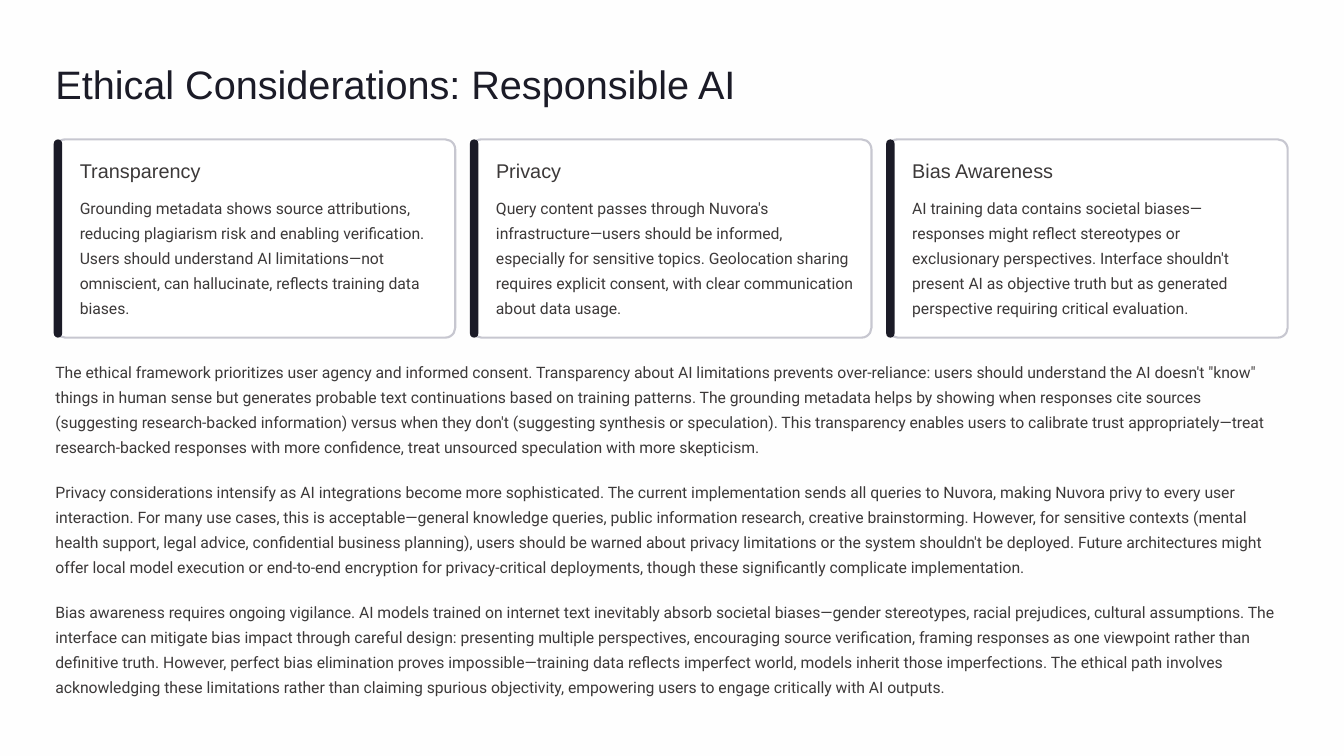
import pptx
import pptx.util
from dataclasses import dataclass
from pptx.dml.color import RGBColor
from pptx.enum.shapes import MSO_SHAPE
from pptx.util import Inches, Pt


@dataclass(frozen=True)
class Theme:
    page: str = "FEFEFE"
    card: str = "FFFFFF"
    border: str = "C7C7D0"
    dark: str = "1B1B27"
    text: str = "3C3939"
    heading_font: str = "Arial"
    body_font: str = "Roboto"
    title_size: float = 34
    heading_size: float = 17
    body_size: float = 13.5
    title_leading: float = 42.5
    heading_leading: float = 21
    body_leading: float = 21.5


THEME = Theme()

LEFT = 0.66
CARD_TOP, CARD_W, CARD_H, CARD_STEP = 1.66, 4.76, 2.36, 4.955
BODY_TOP, BODY_W, BODY_H, BODY_STEP = 4.24, 14.67, 1.22, 1.43

CARDS = [
    ("Transparency",
     "Grounding metadata shows source attributions, reducing plagiarism risk and "
     "enabling verification. Users should understand AI limitations—not omniscient, "
     "can hallucinate, reflects training data biases."),
    ("Privacy",
     "Query content passes through Nuvora's infrastructure—users should be informed, "
     "especially for sensitive topics. Geolocation sharing requires explicit consent, "
     "with clear communication about data usage."),
    ("Bias Awareness",
     "AI training data contains societal biases—responses might reflect stereotypes or "
     "exclusionary perspectives. Interface shouldn't present AI as objective truth but "
     "as generated perspective requiring critical evaluation."),
]

BODY = [
    "The ethical framework prioritizes user agency and informed consent. Transparency "
    "about AI limitations prevents over-reliance: users should understand the AI doesn't "
    "\"know\" things in human sense but generates probable text continuations based on "
    "training patterns. The grounding metadata helps by showing when responses cite "
    "sources (suggesting research-backed information) versus when they don't (suggesting "
    "synthesis or speculation). This transparency enables users to calibrate trust "
    "appropriately—treat research-backed responses with more confidence, treat unsourced "
    "speculation with more skepticism.",
    "Privacy considerations intensify as AI integrations become more sophisticated. The "
    "current implementation sends all queries to Nuvora, making Nuvora privy to every user "
    "interaction. For many use cases, this is acceptable—general knowledge queries, public "
    "information research, creative brainstorming. However, for sensitive contexts (mental "
    "health support, legal advice, confidential business planning), users should be warned "
    "about privacy limitations or the system shouldn't be deployed. Future architectures "
    "might offer local model execution or end-to-end encryption for privacy-critical "
    "deployments, though these significantly complicate implementation.",
    "Bias awareness requires ongoing vigilance. AI models trained on internet text "
    "inevitably absorb societal biases—gender stereotypes, racial prejudices, cultural "
    "assumptions. The interface can mitigate bias impact through careful design: presenting "
    "multiple perspectives, encouraging source verification, framing responses as one "
    "viewpoint rather than definitive truth. However, perfect bias elimination proves "
    "impossible—training data reflects imperfect world, models inherit those imperfections. "
    "The ethical path involves acknowledging these limitations rather than claiming "
    "spurious objectivity, empowering users to engage critically with AI outputs.",
]


def rgb(color):
    return RGBColor.from_string(color)


def add_text(s, box, text, font, size, leading, color, wrap=False):
    tf = s.shapes.add_textbox(*map(Inches, box)).text_frame
    tf.margin_left = tf.margin_top = tf.margin_right = tf.margin_bottom = 0
    tf.word_wrap = wrap
    p = tf.paragraphs[0]
    p.line_spacing = Pt(leading)
    r = p.add_run()
    r.text = text
    r.font.name = font
    r.font.size = Pt(size)
    r.font.color.rgb = rgb(color)


def add_body(s, box, text):
    add_text(s, box, text, THEME.body_font, THEME.body_size, THEME.body_leading,
             THEME.text, wrap=True)


def add_round_rect(s, box, radius, fill, line=None):
    sp = s.shapes.add_shape(MSO_SHAPE.ROUNDED_RECTANGLE, *map(Inches, box))
    sp.shadow.inherit = False
    sp.adjustments[0] = radius
    sp.fill.solid()
    sp.fill.fore_color.rgb = rgb(fill)
    if line:
        sp.line.color.rgb = rgb(line)
        sp.line.width = Pt(1.8)
    else:
        sp.line.fill.background()


def add_card(s, x, heading, text):
    add_round_rect(s, (x, CARD_TOP, CARD_W, CARD_H), 0.05, THEME.card, THEME.border)
    add_round_rect(s, (x - 0.02, CARD_TOP, 0.1, CARD_H), 0.5, THEME.dark)
    add_text(s, (x + 0.29, CARD_TOP + 0.22, 2.38, 0.3), heading, THEME.heading_font,
             THEME.heading_size, THEME.heading_leading, THEME.text)
    add_body(s, (x + 0.29, CARD_TOP + 0.63, 4.26, 1.52), text)


def main():
    prs = pptx.Presentation()
    prs.slide_width, prs.slide_height = Inches(16), Inches(9)
    s = prs.slides.add_slide(prs.slide_layouts[6])
    s.background.fill.solid()
    s.background.fill.fore_color.rgb = rgb(THEME.page)

    # Title
    add_text(s, (LEFT, 0.69, 8.72, 0.59), "Ethical Considerations: Responsible AI",
             THEME.heading_font, THEME.title_size, THEME.title_leading, THEME.dark)

    # Row of cards
    for i, (heading, text) in enumerate(CARDS):
        add_card(s, LEFT + i * CARD_STEP, heading, text)

    # Body paragraphs
    for i, text in enumerate(BODY):
        add_body(s, (LEFT, BODY_TOP + i * BODY_STEP, BODY_W, BODY_H), text)

    prs.save("out.pptx")


if __name__ == "__main__":
    main()
